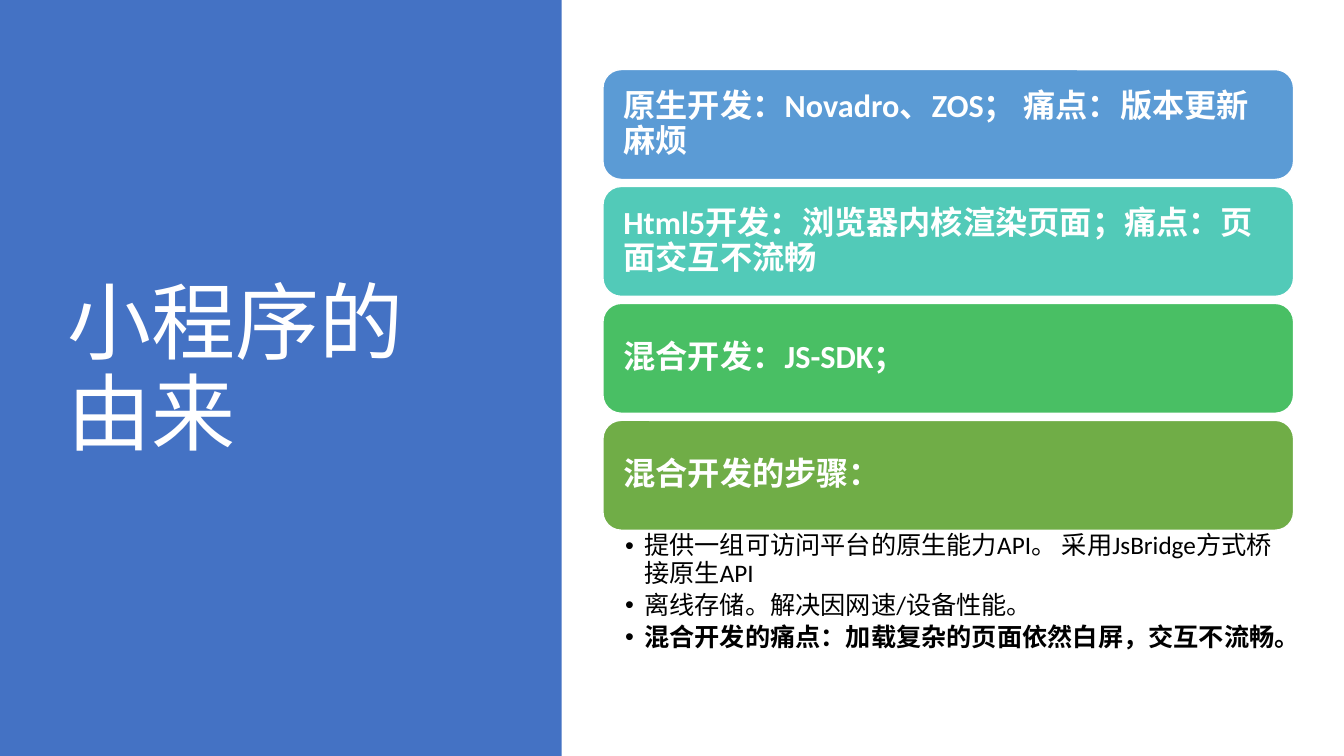
from lxml import etree
from pptx import Presentation
from pptx.dml.color import RGBColor
from pptx.enum.shapes import MSO_SHAPE
from pptx.enum.text import MSO_ANCHOR, MSO_AUTO_SIZE, PP_ALIGN
from pptx.oxml.ns import qn
from pptx.util import Inches, Pt

RECT = MSO_SHAPE.RECTANGLE
ROUND = MSO_SHAPE.ROUNDED_RECTANGLE
MIDDLE = MSO_ANCHOR.MIDDLE
TOP = MSO_ANCHOR.TOP
LEFT = PP_ALIGN.LEFT
FIXED = MSO_AUTO_SIZE.NONE
FONT = "Calibri"
WHITE = "FFFFFF"
BLACK = "000000"

CARDS = [
    ("5B9BD5", "原生开发：Novadro、ZOS； 痛点：版本更新麻烦"),
    ("52CAB8", "Html5开发：浏览器内核渲染页面；痛点：页面交互不流畅"),
    ("49BF64", "混合开发：JS-SDK；"),
    ("70AD47", "混合开发的步骤："),
]
STEPS = [
    ("提供一组可访问平台的原生能力API。 采用JsBridge方式桥接原生API", False),
    ("离线存储。解决因网速/设备性能。", False),
    ("混合开发的痛点：加载复杂的页面依然白屏，交互不流畅。", True),
]
CARD_X, CARD_Y, CARD_W, CARD_H = 5.98, 0.69, 6.85, 1.09
PITCH = 1.16


def color(code):
    return RGBColor.from_string(code)


def place(shape, x, y, w, h):
    shape.left, shape.top = Inches(x), Inches(y)
    shape.width, shape.height = Inches(w), Inches(h)


def set_frame(frame, anchor, left, top, right, bottom):
    frame.word_wrap = True
    frame.auto_size = FIXED
    frame.vertical_anchor = anchor
    frame.margin_left, frame.margin_top = Inches(left), Inches(top)
    frame.margin_right, frame.margin_bottom = Inches(right), Inches(bottom)


def write(para, text, size, ink, bold=False, after=0):
    para.alignment = LEFT
    para.line_spacing = 0.9
    para.space_after = Pt(after)
    run = para.add_run()
    run.text = text
    font = run.font
    font.name, font.size, font.bold = FONT, Pt(size), bold
    font.color.rgb = color(ink)


def add_bullet(para, indent):
    props = para._p.get_or_add_pPr()
    props.set("marL", str(Inches(indent)))
    props.set("indent", str(-Inches(indent)))
    etree.SubElement(props, qn("a:buFont")).set("typeface", "Arial")
    etree.SubElement(props, qn("a:buChar")).set("char", "•")


def add_block(slide, kind, x, y, w, h, fill):
    block = slide.shapes.add_shape(
        kind, Inches(x), Inches(y), Inches(w), Inches(h))
    block.shadow.inherit = False
    block.fill.solid()
    block.fill.fore_color.rgb = color(fill)
    block.line.fill.background()
    return block


def add_card(slide, y, fill, text):
    card = add_block(slide, ROUND, CARD_X, y, CARD_W, CARD_H, fill)
    card.line.color.rgb = color(WHITE)
    card.line.width = Pt(1)
    set_frame(card.text_frame, MIDDLE, 0.15, 0.15, 0.15, 0.15)
    write(card.text_frame.paragraphs[0], text, 23, WHITE, True)


def add_steps(slide, y):
    box = slide.shapes.add_textbox(
        Inches(CARD_X), Inches(y), Inches(CARD_W), Inches(1.43))
    frame = box.text_frame
    set_frame(frame, TOP, 0.22, 0.03, 0.18, 0.03)
    for i, (text, bold) in enumerate(STEPS):
        para = frame.add_paragraph() if i else frame.paragraphs[0]
        para.level = 1
        write(para, text, 18, BLACK, bold, 3.6)
        add_bullet(para, 0.19)


def set_title(slide, text):
    title = slide.shapes.title
    place(title, 0.57, 0.68, 4.16, 6.02)
    set_frame(title.text_frame, MIDDLE, 0.1, 0.05, 0.1, 0.05)
    write(title.text_frame.paragraphs[0], text, 60, WHITE)
    return title


def main():
    deck = Presentation()
    deck.slide_width, deck.slide_height = Inches(13.33), Inches(7.5)
    slide = deck.slides.add_slide(deck.slide_layouts[5])
    title = set_title(slide, "小程序的由来")
    panel = add_block(slide, RECT, 0, 0, 5.57, 7.5, "4472C4")
    title.element.addprevious(panel.element)
    for i, (fill, text) in enumerate(CARDS):
        add_card(slide, CARD_Y + i * PITCH, fill, text)
    add_steps(slide, CARD_Y + 3 * PITCH + CARD_H)
    deck.save("out.pptx")


if __name__ == "__main__":
    main()
